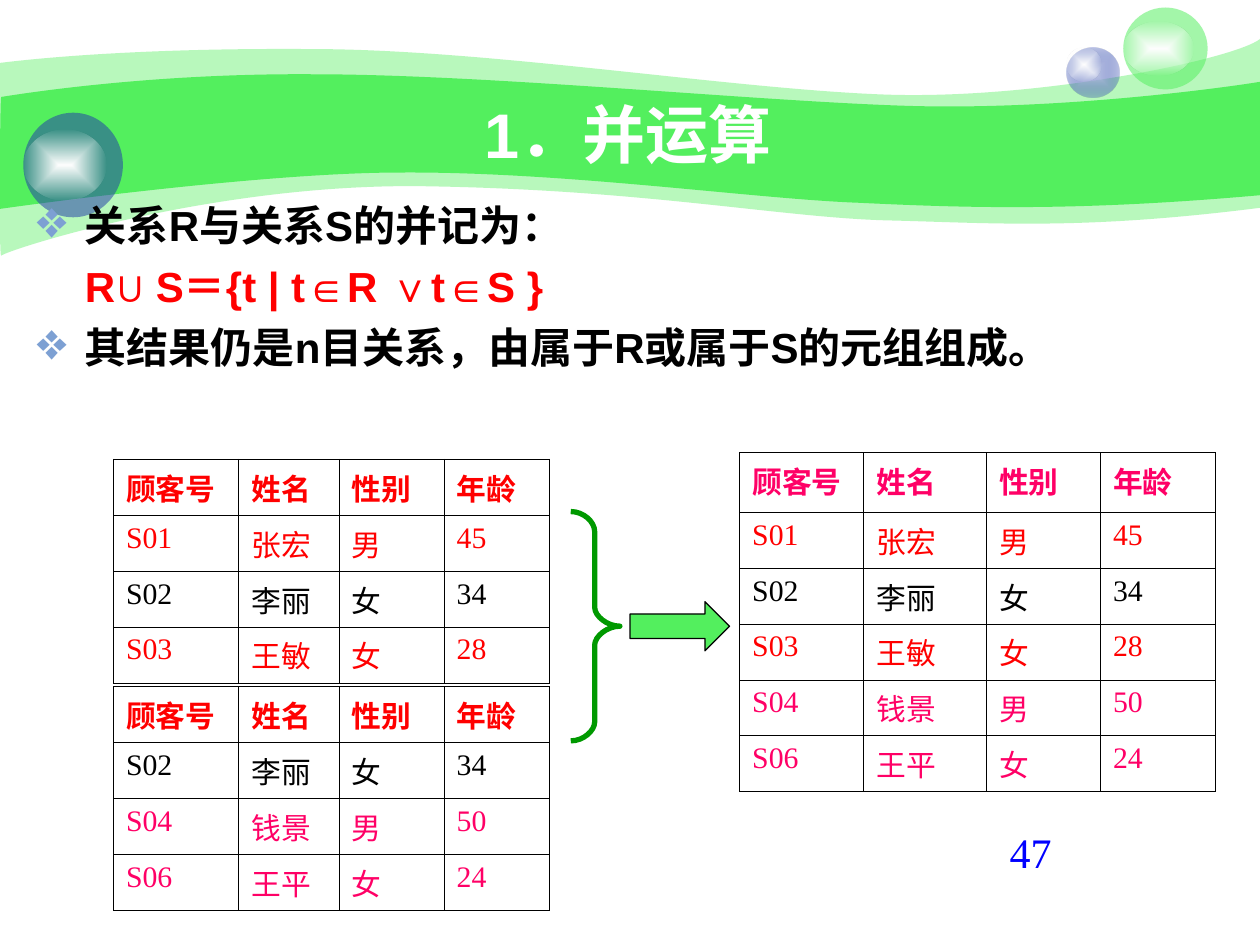
from typing import NamedTuple

from lxml import etree
from pptx import Presentation
from pptx import util as u
from pptx.dml.color import RGBColor
from pptx.enum import shapes, text
from pptx.oxml import parse_xml
from pptx.oxml.ns import nsdecls, qn

GREEN = RGBColor(0x53, 0xEF, 0x5E)
DARK_GREEN = RGBColor(0x00, 0x99, 0x00)
NAVY = RGBColor(0x23, 0x3D, 0xA9)
PALE_BLUE = RGBColor(0xC7, 0xCE, 0xE9)
BULLET_BLUE = RGBColor(0x7D, 0xA0, 0xD3)
BLUE = RGBColor(0x00, 0x00, 0xFF)
RED = RGBColor(0xFF, 0x00, 0x00)
PINK = RGBColor(0xFF, 0x00, 0x66)
BLACK = RGBColor(0x00, 0x00, 0x00)
WHITE = RGBColor(0xFF, 0xFF, 0xFF)
SANS, SERIF = "Arial", "Times New Roman"
NO_STYLE = "{2D5ABB26-0587-4C30-8999-92F81FD0307C}"
HANG = u.Inches(0.38)

# The slide is a grid of 100 columns by 75 rows of square cells
CELL = u.Inches(0.1)


class Box(NamedTuple):
    left: float
    top: float
    width: float
    height: float

    def emu(self) -> list:
        return [grid(v) for v in self]


class Outline(NamedTuple):
    start: tuple
    segments: list  # two numbers: line end; six numbers: cubic curve


class Ball(NamedTuple):
    box: Box
    stops: list  # (position, colour, opacity), centre to edge


class Relation(NamedTuple):
    left: float
    top: float
    columns: list
    header_height: float
    header_color: RGBColor
    keys: list


PALE_WAVE = Outline((0, 5), [
    (2.4, 4.7, 10.7, 3.8, 24.7, 3.9), (38.6, 3.9, 57.5, 7, 69.9, 7.5),
    (82.2, 8, 98, 4.7, 100, 3.1), (100, 16.5),
    (85.8, 18.3, 78.7, 17.7, 70.5, 17.5), (62.2, 17.3, 51.5, 15.1, 34.3, 14.8),
    (17.2, 14.4, 0.4, 19.9, 0.1, 20.3), (-0.1, 20.8, 0, 7.5, 0, 5)])
BRIGHT_WAVE = Outline((0.1, 7.7), [
    (0.2, 7.7, 11, 5.8, 24.8, 5.9), (38.6, 5.9, 59.5, 8, 71.8, 8.4),
    (84.1, 8.8, 97.6, 6.9, 100, 6.5), (100, 15.5),
    (85.3, 16.8, 76.5, 16.5, 68.2, 16.1), (59.9, 15.8, 44.7, 13.6, 31.7, 13.7),
    (20.3, 13.7, -0.2, 16.6, -0.1, 16.6), (0, 16.6, 0, 7.7, 0.1, 7.7)])
BRACE = Outline((45.3, 40.6), [
    (46.3, 40.6, 47.2, 41.4, 47.2, 42.2), (47.2, 48.2), (47.2, 48.9, 48.2, 49.7, 49.2, 49.7),
    (48.2, 49.7, 47.2, 50.5, 47.2, 51.2), (47.2, 57.3), (47.2, 58, 46.3, 58.8, 45.3, 58.8)])
GLOW = [(0, WHITE, 100), (100, WHITE, 0)]
BALLS = [
    Ball(Box(84.65, 3.75, 4.2, 4), [(0, PALE_BLUE, 100), (100, NAVY, 31)]),
    Ball(Box(84.65, 3.75, 2.8, 2.7), GLOW),
    Ball(Box(89.15, 0.6, 6.7, 6.5), [(0, GREEN, 53)]),
    Ball(Box(89.15, 1.7, 5.6, 4.3), GLOW),
    Ball(Box(1.85, 8.95, 7.9, 8.3), [(0, NAVY, 53)]),
    Ball(Box(1.85, 10.3, 6.6, 5.6), GLOW),
]
BODY = [(["关系R与关系S的并记为："], BLACK, True),
        (["R", "∪", "S＝{t | t∈R ∨t∈S }"], RED, False),
        (["其结果仍是n目关系，由属于R或属于S的元组组成。"], BLACK, True)]

HEADER = ["顾客号", "姓名", "性别", "年龄"]
CUSTOMERS = {"S01": ["张宏", "男", "45"], "S02": ["李丽", "女", "34"],
             "S03": ["王敏", "女", "28"], "S04": ["钱景", "男", "50"],
             "S06": ["王平", "女", "24"]}
R_KEYS = ["S01", "S02", "S03"]
S_KEYS = ["S02", "S04", "S06"]
ROW_HEIGHT = 4.44
NARROW, WIDE = [9.95, 7.95, 8.35, 8.35], [9.85, 9.75, 9.05, 9.15]
RELATIONS = [
    Relation(9, 36.45, NARROW, ROW_HEIGHT, RED, R_KEYS),
    Relation(9, 54.5, NARROW, ROW_HEIGHT, RED, S_KEYS),
    Relation(58.7, 35.9, WIDE, 4.75, PINK, sorted({*R_KEYS, *S_KEYS})),
]


def grid(cells: float) -> int:
    return round(cells * CELL)


def style(p, font: str, size: float, color: RGBColor, bold: bool = False) -> None:
    for r in p.runs:
        r.font.name, r.font.size, r.font.bold = font, u.Pt(size), bold
        r.font.color.rgb = color


def color_xml(color: RGBColor, opacity: int) -> str:
    return f'<a:srgbClr val="{color}"><a:alpha val="{opacity * 1000}"/></a:srgbClr>'


def paint(sp, stops: list) -> None:
    """Fill with one translucent colour, or a gradient from the centre out."""
    sp.shadow.inherit = False
    sp.line.fill.background()
    if len(stops) == 1:
        xml = f'<a:solidFill {nsdecls("a")}>{color_xml(*stops[0][1:])}</a:solidFill>'
    else:
        marks = "".join(f'<a:gs pos="{pos * 1000}">{color_xml(c, o)}</a:gs>' for pos, c, o in stops)
        xml = (f'<a:gradFill {nsdecls("a")} rotWithShape="1"><a:gsLst>{marks}</a:gsLst><a:path path="rect">'
               '<a:fillToRect l="50000" t="50000" r="50000" b="50000"/></a:path></a:gradFill>')
    sp._element.spPr.find(qn("a:ln")).addprevious(parse_xml(xml))


def draw_outline(s, outline: Outline, close: bool):
    """Build the outline from its points, then join each curve's three points."""
    points = [(grid(x), grid(y)) for seg in outline.segments for x, y in zip(seg[::2], seg[1::2])]
    builder = s.shapes.build_freeform(*map(grid, outline.start))
    builder.add_line_segments(points, close=close)
    sp = builder.convert_to_shape()
    lines = iter(list(sp._element.iter(qn("a:lnTo"))))
    for seg in outline.segments:
        first = next(lines)
        if len(seg) == 6:
            first.tag = qn("a:cubicBezTo")
            for _ in range(2):
                line = next(lines)
                first.append(line[0])
                line.getparent().remove(line)
    return sp


def draw_ball(s, ball: Ball) -> None:
    paint(s.shapes.add_shape(shapes.MSO_SHAPE.OVAL, *ball.box.emu()), ball.stops)


def draw_body(s, box: Box) -> None:
    tf = s.shapes.add_textbox(*box.emu()).text_frame
    tf.word_wrap = True
    for i, (pieces, color, bulleted) in enumerate(BODY):
        p = tf.paragraphs[0] if i == 0 else tf.add_paragraph()
        pPr = p._p.get_or_add_pPr()
        pPr.set("marL", str(HANG))
        if bulleted:
            pPr.set("indent", str(-HANG))
            bullet = etree.SubElement(pPr, qn("a:buClr"))
            etree.SubElement(bullet, qn("a:srgbClr"), val=str(BULLET_BLUE))
            etree.SubElement(pPr, qn("a:buSzPct"), val="125000")
            etree.SubElement(pPr, qn("a:buChar"), char="❖")
        if i:
            p.space_before = u.Pt(6)
        for piece in pieces:
            r = p.add_run()
            r.text = piece
            if piece == "∪":  # extra room after the union sign
                r._r.get_or_add_rPr().set("spc", "600")
        style(p, SANS, 24, color, True)


def key_color(key: str) -> RGBColor:
    if key in R_KEYS and key in S_KEYS:
        return BLACK
    return RED if key in R_KEYS else PINK


def draw_cell(cell, value: str, color: RGBColor, bold: bool) -> None:
    cell.text = value
    style(cell.text_frame.paragraphs[0], SERIF, 17, color, bold)
    tcPr = cell._tc.get_or_add_tcPr()
    for side in ("lnL", "lnR", "lnT", "lnB"):
        tcPr.append(parse_xml(f'<a:{side} {nsdecls("a")} w="{u.Pt(0.45)}"><a:solidFill>'
                              f'<a:srgbClr val="{BLACK}"/></a:solidFill></a:{side}>'))
    cell.fill.background()


def draw_relation(s, rel: Relation) -> None:
    rows = [(HEADER, rel.header_color)] + [([k, *CUSTOMERS[k]], key_color(k)) for k in rel.keys]
    heights = [rel.header_height] + [ROW_HEIGHT] * len(rel.keys)
    box = Box(rel.left, rel.top, sum(rel.columns), sum(heights))
    table = s.shapes.add_table(len(rows), len(HEADER), *box.emu()).table
    table._tbl.tblPr.find(qn("a:tableStyleId")).text = NO_STYLE
    table.horz_banding = False
    for column, width in zip(table.columns, rel.columns):
        column.width = grid(width)
    for i, (values, color) in enumerate(rows):
        table.rows[i].height = grid(heights[i])
        for cell, value in zip(table.rows[i].cells, values):
            draw_cell(cell, value, color, bold=i == 0)


def main() -> None:
    prs = Presentation()
    prs.slide_width, prs.slide_height = 100 * CELL, 75 * CELL
    s = prs.slides.add_slide(prs.slide_layouts[5])
    # Backdrop
    for wave, opacity in ((PALE_WAVE, 41), (BRIGHT_WAVE, 100)):
        paint(draw_outline(s, wave, close=True), [(0, GREEN, opacity)])
    for ball in BALLS:
        draw_ball(s, ball)
    # Title, brought in front of the backdrop
    title = s.shapes.title
    s.shapes._spTree.append(title._element)
    title.left, title.top, title.width, title.height = Box(9.45, 7.45, 80.8, 6.2).emu()
    tf = title.text_frame
    tf.text = "1．并运算"
    tf.vertical_anchor = text.MSO_ANCHOR.MIDDLE
    tf.paragraphs[0].alignment = text.PP_ALIGN.CENTER
    style(tf.paragraphs[0], SANS, 36, WHITE, True)
    # Definition and relations
    draw_body(s, Box(1.95, 15.35, 98, 17.3))
    for rel in RELATIONS:
        draw_relation(s, rel)
    # Brace and arrow from R and S to their union
    brace = draw_outline(s, BRACE, close=False)
    brace.fill.background()
    brace.line.color.rgb, brace.line.width = DARK_GREEN, u.Pt(3)
    arrow = s.shapes.add_shape(shapes.MSO_SHAPE.RIGHT_ARROW, *Box(50, 47.75, 7.9, 3.9).emu())
    arrow.fill.solid()
    arrow.fill.fore_color.rgb = GREEN
    arrow.line.color.rgb, arrow.line.width = BLACK, u.Pt(0.75)
    for sp in (brace, arrow):
        sp.shadow.inherit = False
    # Page number
    tf = s.shapes.add_textbox(*Box(79.15, 65.1, 15.9, 5).emu()).text_frame
    tf.word_wrap = True
    tf.text = "47"
    style(tf.paragraphs[0], SERIF, 24, BLUE)
    prs.save("out.pptx")


if __name__ == "__main__":
    main()
